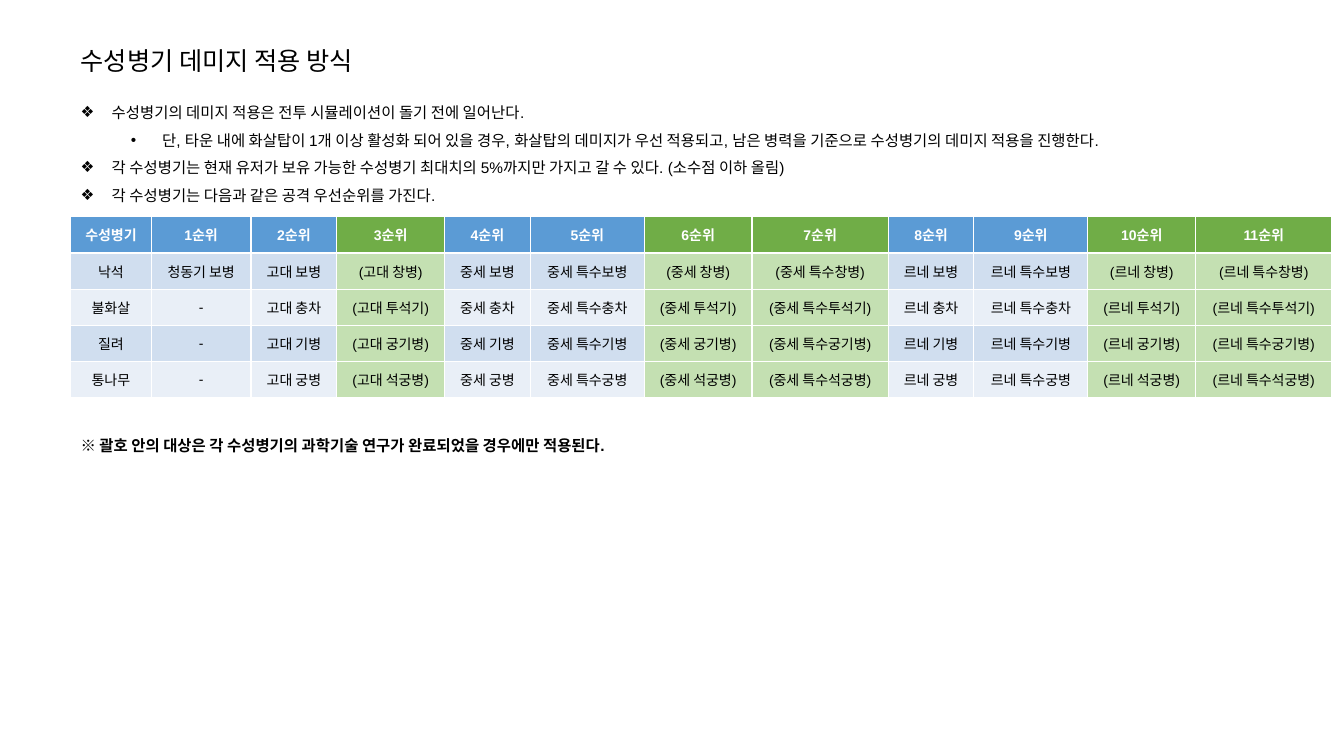
from lxml.etree import SubElement as Sub
from pptx import Presentation
from pptx.dml.color import RGBColor as RGB
from pptx.enum.text import MSO_ANCHOR as Anchor, MSO_AUTO_SIZE as Fit, PP_ALIGN as Align
from pptx.oxml.ns import qn
from pptx.util import Inches, Pt

FONT = "Arial"
BLACK = RGB(0x00, 0x00, 0x00)
WHITE = RGB(0xFF, 0xFF, 0xFF)
BLUE = RGB(0x5B, 0x9B, 0xD5)
GREEN = RGB(0x70, 0xAD, 0x47)
MINT = RGB(0xC4, 0xE0, 0xB2)
BANDS = [RGB(0xE9, 0xEF, 0xF7), RGB(0xD0, 0xDE, 0xEF)]

TITLE = "수성병기 데미지 적용 방식"
RULES = [
    (0, "수성병기의 데미지 적용은 전투 시뮬레이션이 돌기 전에 일어난다."),
    (1, "단, 타운 내에 화살탑이 1개 이상 활성화 되어 있을 경우, 화살탑의 데미지가 우선 적용되고, "
        "남은 병력을 기준으로 수성병기의 데미지 적용을 진행한다."),
    (0, "각 수성병기는 현재 유저가 보유 가능한 수성병기 최대치의 5%까지만 가지고 갈 수 있다. (소수점 이하 올림)"),
    (0, "각 수성병기는 다음과 같은 공격 우선순위를 가진다."),
]
NOTE = "※ 괄호 안의 대상은 각 수성병기의 과학기술 연구가 완료되었을 경우에만 적용된다."
MARKS = ["❖", "•"]

ERAS = ["중세", "르네"]
WEAPONS = [
    ("낙석", "청동기 보병", "보병", "창병"),
    ("불화살", "-", "충차", "투석기"),
    ("질려", "-", "기병", "궁기병"),
    ("통나무", "-", "궁병", "석궁병"),
]
LOCKED = {3, 6, 7, 10, 11}
WIDTHS = [0.8, 0.99, 0.85, 1.07] + [0.85, 1.13, 1.07, 1.35] * len(ERAS)
HEIGHT = 0.36


def style(para, size, color=BLACK, bold=False):
    font = para.font
    font.name, font.size, font.bold = FONT, Pt(size), bold
    font.color.rgb = color


def add_title(slide):
    title = slide.shapes.title
    title.left, title.top = Inches(0.7), Inches(0.4)
    title.width, title.height = Inches(3.25), Inches(0.4)
    frame = title.text_frame
    frame.text = TITLE
    frame.auto_size = Fit.NONE
    frame.vertical_anchor = Anchor.MIDDLE
    para = frame.paragraphs[0]
    para.alignment = Align.LEFT
    style(para, 18)


def set_mark(para, level):
    para.level = level
    props = para._p.get_or_add_pPr()
    props.set("marL", str(Inches(0.31 + 0.5 * level)))
    props.set("indent", str(Inches(-0.31)))
    Sub(props, qn("a:buFont"), typeface=FONT)
    Sub(props, qn("a:buChar"), char=MARKS[level])


def add_rules(slide):
    box = slide.shapes.add_textbox(Inches(0.7), Inches(0.88), Inches(12.55), Inches(3.43))
    frame = box.text_frame
    frame.word_wrap = True
    for i, (level, text) in enumerate(RULES):
        para = frame.add_paragraph() if i else frame.paragraphs[0]
        para.text = text
        para.line_spacing = 1.5
        set_mark(para, level)
        style(para, 11)
    note = frame.add_paragraph()
    note.text = NOTE
    note.line_spacing = 1.5
    note.space_before = Pt(159)
    style(note, 11, bold=True)


def make_row(name, first, troop, rival):
    row = [name, first, f"고대 {troop}", f"(고대 {rival})"]
    for era in ERAS:
        row += [f"{era} {troop}", f"{era} 특수{troop}", f"({era} {rival})", f"({era} 특수{rival})"]
    return row


def fill_cell(cell, text, fill, color, bold):
    cell.text = text
    cell.vertical_anchor = Anchor.MIDDLE
    cell.fill.solid()
    cell.fill.fore_color.rgb = fill
    para = cell.text_frame.paragraphs[0]
    para.alignment = Align.CENTER
    style(para, 10, color, bold)


def add_ranks(slide):
    head = ["수성병기"] + [f"{n}순위" for n in range(1, len(WIDTHS))]
    rows = [head] + [make_row(*weapon) for weapon in WEAPONS]
    table = slide.shapes.add_table(
        len(rows), len(WIDTHS), Inches(0.7), Inches(2.15),
        Inches(sum(WIDTHS)), Inches(HEIGHT * len(rows))).table
    for column, width in zip(table.columns, WIDTHS):
        column.width = Inches(width)
    for r, row in enumerate(rows):
        table.rows[r].height = Inches(HEIGHT)
        plain, locked = (BANDS[r % 2], MINT) if r else (BLUE, GREEN)
        for c, text in enumerate(row):
            fill = locked if c in LOCKED else plain
            fill_cell(table.cell(r, c), text, fill, BLACK if r else WHITE, r == 0)


def main():
    deck = Presentation()
    deck.slide_width, deck.slide_height = Inches(13.33), Inches(7.5)
    slide = deck.slides.add_slide(deck.slide_layouts[5])
    add_title(slide)
    add_rules(slide)
    add_ranks(slide)
    deck.save("out.pptx")


if __name__ == "__main__":
    main()
